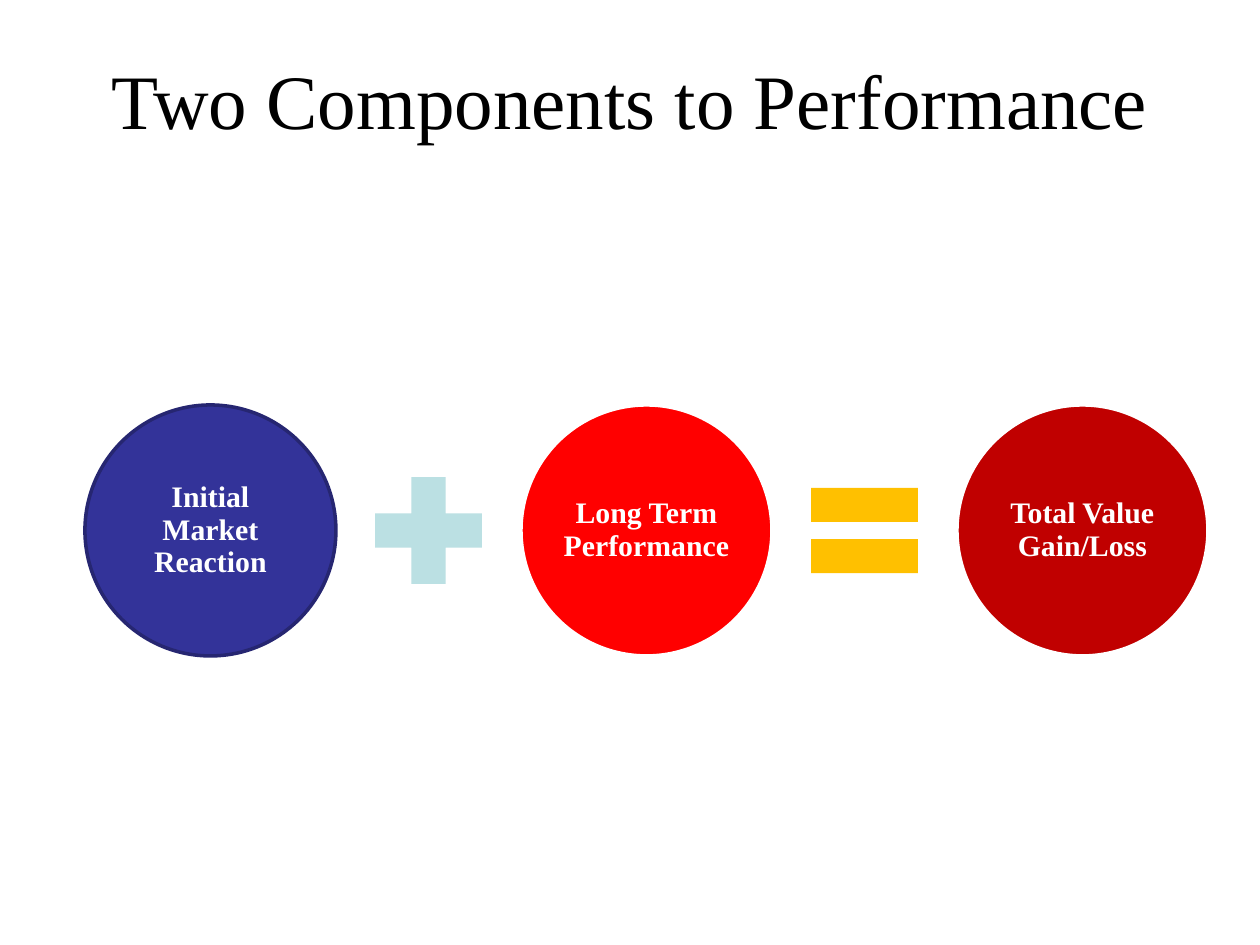
from pptx import Presentation
from pptx.dml.color import RGBColor
from pptx.enum.shapes import MSO_SHAPE
from pptx.enum.text import MSO_ANCHOR, PP_ALIGN
from pptx.util import Emu, Pt

CIRCLE, PLUS, EQUAL = MSO_SHAPE.OVAL, MSO_SHAPE.MATH_PLUS, MSO_SHAPE.MATH_EQUAL
TOP, MIDDLE, CENTER = MSO_ANCHOR.TOP, MSO_ANCHOR.MIDDLE, PP_ALIGN.CENTER
TITLE_ONLY = 5
FONT = "Times New Roman"
FIRST_CENTER, PITCH, MIDLINE = 210, 218, 530
CIRCLE_SIZE, OPERATOR_SIZE = 251, 145

TERMS = [
    (CIRCLE, "333399", "262671", "Initial Market Reaction"),
    (PLUS, "BBE0E3", None, None),
    (CIRCLE, "FF0000", "FFFFFF", "Long Term Performance"),
    (EQUAL, "FFC000", None, None),
    (CIRCLE, "C00000", "FFFFFF", "Total Value Gain/Loss"),
]


def px(length):
    """Turn pixels into EMU at 126 pixels to the inch."""
    return Emu(round(length * 914400 / 126))


def color(code):
    """Turn a hex string into a colour."""
    return RGBColor.from_string(code)


def assign(target, values):
    """Set attributes of an object from a dict."""
    for name, value in values.items():
        setattr(target, name, value)


def write_text(shape, text, size, shade, frame_format, bold=False, spacing=1.0):
    """Write one centred, formatted paragraph into a shape."""
    frame = shape.text_frame
    assign(frame, {"word_wrap": True, **frame_format})
    para = frame.paragraphs[0]
    assign(para, {"alignment": CENTER, "line_spacing": spacing})
    span = para.add_run()
    span.text = text
    assign(span.font, {"name": FONT, "size": Pt(size), "bold": bold})
    span.font.color.rgb = color(shade)


def add_title(page, text):
    """Place and format the title placeholder."""
    title = page.shapes.title
    assign(title, {"left": px(63), "top": px(38), "width": px(1134), "height": px(157)})
    write_text(title, text, 44, "000000", {"vertical_anchor": TOP, "margin_top": px(15)})


def add_shape(page, kind, center, size, fill, outline):
    """Add a filled shape centred on the midline of the equation."""
    left, top = center - size // 2, MIDLINE - size // 2
    shape = page.shapes.add_shape(kind, px(left), px(top), px(size), px(size))
    shape.shadow.inherit = False
    shape.fill.solid()
    shape.fill.fore_color.rgb = color(fill)
    if outline:
        shape.line.color.rgb = color(outline)
        shape.line.width = Pt(2)
    else:
        shape.line.fill.background()
    return shape


def add_circle(page, center, fill, outline, text):
    """Add a labelled circle."""
    circle = add_shape(page, CIRCLE, center, CIRCLE_SIZE, fill, outline)
    sides = ("left", "top", "right", "bottom")
    margins = {f"margin_{side}": px(3) for side in sides}
    write_text(circle, text, 17, "FFFFFF", {"vertical_anchor": MIDDLE, **margins}, True, 0.9)


def add_equation(page):
    """Lay out circles and operators at an equal pitch."""
    for index, (kind, fill, outline, text) in enumerate(TERMS):
        center = FIRST_CENTER + index * PITCH
        if text:
            add_circle(page, center, fill, outline, text)
        else:
            add_shape(page, kind, center, OPERATOR_SIZE, fill, outline)


def main():
    """Build and save the deck."""
    deck = Presentation()
    assign(deck, {"slide_width": px(1260), "slide_height": px(945)})
    page = deck.slides.add_slide(deck.slide_layouts[TITLE_ONLY])
    add_title(page, "Two Components to Performance")
    add_equation(page)
    deck.save("out.pptx")


if __name__ == "__main__":
    main()
